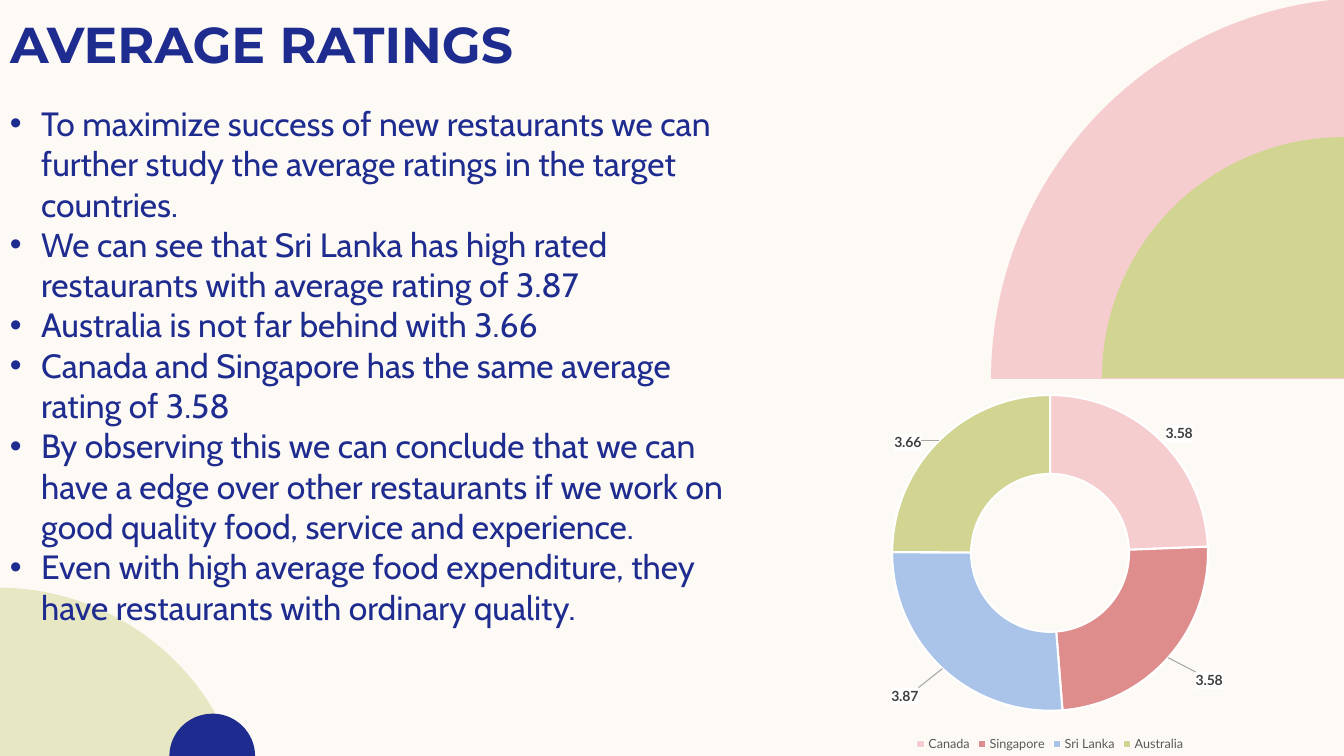
"""Build the average ratings slide with its doughnut chart."""
from lxml import etree
from pptx import Presentation
from pptx.chart.data import CategoryChartData
from pptx.dml.color import RGBColor
from pptx.enum.chart import XL_CHART_TYPE, XL_LEGEND_POSITION
from pptx.enum.text import MSO_ANCHOR, PP_ALIGN
from pptx.oxml import parse_xml
from pptx.oxml.ns import nsdecls, qn
from pptx.util import Inches, Pt

TITLE = "AVERAGE RATINGS"
BULLETS = [
    "To maximize success of new restaurants we can further study the average ratings in the target countries.",
    "We can see that Sri Lanka has high rated restaurants with average rating of 3.87",
    "Australia is not far behind with 3.66",
    "Canada and Singapore has the same average rating of 3.58",
    "By observing this we can conclude that we can have a edge over other restaurants if we work on "
    "good quality food, service and experience.",
    "Even with high average food expenditure, they have restaurants with ordinary quality.",
]
THEME = {
    "bg": "FDFAF6", "navy": "1F2C8F", "pink": "F5CDCE", "green": "D2D592", "red": "DE8C8C",
    "blue": "AAC3E8", "white": "FFFFFF", "label": "404040", "legend": "595959", "line": "A6A6A6",
    "head": ("Montserrat", 36), "body": ("Cabin", 24), "chart": ("Lato", 10), "small": ("Lato", 9),
}
RATINGS = [
    ("Canada", 3.58, "pink", (0.08, -0.09)),
    ("Singapore", 3.58, "red", (0.12, 0.13)),
    ("Sri Lanka", 3.87, "blue", (-0.11, 0.15)),
    ("Australia", 3.66, "green", (-0.1, -0.07)),
]
BACKDROP = [
    ("pink", 100, [(13.33, 0), (13.33, 3.76), (9.83, 3.76), (9.83, 1.81, 11.31, 0.2, 13.2, 0)]),
    ("green", 100, [(10.93, 3.75), (10.93, 2.43, 12, 1.36, 13.33, 1.36), (13.33, 3.75)]),
    ("green", 50, [(-0.02, 5.83), (1.01, 5.83, 1.9, 6.46, 2.27, 7.35), (2.33, 7.5), (-0.02, 7.5)]),
    ("navy", 100, [(2.11, 7.08), (2.34, 7.08, 2.53, 7.27, 2.53, 7.5), (1.68, 7.5),
                   (1.68, 7.27, 1.87, 7.08, 2.11, 7.08)]),
]


def rgb(name):
    return RGBColor.from_string(THEME[name])


def set_font(font, style, color, bold=False):
    font.name, size = THEME[style]
    font.size, font.bold = Pt(size), bold
    font.color.rgb = rgb(color)


def add_backdrop(s, color, opacity, steps):
    """Draw a closed outline; steps of six numbers are cubic curves."""
    pts = [(Inches(step[-2]), Inches(step[-1])) for step in steps]
    builder = s.shapes.build_freeform(*pts[0])
    builder.add_line_segments(pts[1:], close=True)
    sp = builder.convert_to_shape()
    for step, line in zip(steps[1:], list(sp._element.iter(qn("a:lnTo")))):
        if len(step) == 6:
            line.tag = qn("a:cubicBezTo")
            for i, (x, y) in enumerate((step[:2], step[2:4])):
                pt = etree.Element(qn("a:pt"), x=str(Inches(x) - sp.left), y=str(Inches(y) - sp.top))
                line.insert(i, pt)
    sp.shadow.inherit = False
    sp.fill.solid()
    sp.fill.fore_color.rgb = rgb(color)
    sp.line.fill.background()
    if opacity < 100:
        clr = sp._element.spPr.find(".//" + qn("a:srgbClr"))
        etree.SubElement(clr, qn("a:alpha"), val=str(opacity * 1000))


def frame(sp, anchor):
    tf = sp.text_frame
    tf.word_wrap, tf.vertical_anchor = True, anchor
    tf.margin_left = tf.margin_right = Inches(0.1)
    tf.margin_top = tf.margin_bottom = 0
    return tf


def add_bullets(s):
    tf = frame(s.shapes.add_textbox(0, Inches(1.02), Inches(7.5), Inches(5.6)), MSO_ANCHOR.TOP)
    for i, text in enumerate(BULLETS):
        p = tf.paragraphs[0] if i == 0 else tf.add_paragraph()
        p.text = text
        set_font(p.font, "body", "navy")
        pPr = p._p.get_or_add_pPr()
        pPr.set("marL", str(Inches(0.31)))
        pPr.set("indent", str(-Inches(0.31)))
        pPr.insert(0, parse_xml(f'<a:buFont {nsdecls("a")} typeface="Arial"/>'))
        pPr.insert(1, parse_xml(f'<a:buChar {nsdecls("a")} char="•"/>'))


def label_xml():
    font, size = THEME["chart"]
    look = (f'<c:numFmt formatCode="0.00" sourceLinked="0"/><c:spPr><a:solidFill>'
            f'<a:srgbClr val="{THEME["white"]}"/></a:solidFill></c:spPr><c:txPr><a:bodyPr/><a:p><a:pPr>'
            f'<a:defRPr sz="{size * 100}" b="1"><a:solidFill><a:srgbClr val="{THEME["label"]}"/></a:solidFill>'
            f'<a:latin typeface="{font}"/></a:defRPr></a:pPr><a:endParaRPr lang="en-US"/></a:p></c:txPr>'
            '<c:showLegendKey val="0"/><c:showVal val="1"/><c:showCatName val="0"/>'
            '<c:showSerName val="0"/><c:showPercent val="0"/><c:showBubbleSize val="0"/>')
    moved = "".join(f'<c:dLbl><c:idx val="{i}"/><c:layout><c:manualLayout><c:x val="{x}"/><c:y val="{y}"/>'
                    f'</c:manualLayout></c:layout>{look}</c:dLbl>' for i, (*_, (x, y)) in enumerate(RATINGS))
    return (f'<c:dLbls {nsdecls("c", "a")}>{moved}{look}<c:showLeaderLines val="1"/><c:leaderLines><c:spPr>'
            f'<a:ln w="9525"><a:solidFill><a:srgbClr val="{THEME["line"]}"/></a:solidFill></a:ln>'
            '</c:spPr></c:leaderLines></c:dLbls>')


def add_ratings_chart(s):
    data = CategoryChartData(number_format="0.00")
    data.categories = [r[0] for r in RATINGS]
    data.add_series("Series 1", [r[1] for r in RATINGS])
    chart = s.shapes.add_chart(XL_CHART_TYPE.DOUGHNUT, Inches(7.5), Inches(3.77),
                               Inches(5.83), Inches(3.73), data).chart
    set_font(chart.font, "chart", "label")
    chart.has_title = False
    chart.has_legend = True
    chart.legend.position = XL_LEGEND_POSITION.BOTTOM
    chart.legend.include_in_layout = False
    set_font(chart.legend.font, "small", "legend")
    plot = chart.plots[0]
    plot.vary_by_categories = True
    series = plot.series[0]
    for i, (_, _, color, _) in enumerate(RATINGS):
        fmt = series.points[i].format
        fmt.fill.solid()
        fmt.fill.fore_color.rgb = rgb(color)
        fmt.line.color.rgb = rgb("white")
        fmt.line.width = Pt(1.5)
    series._element.find(qn("c:cat")).addprevious(parse_xml(label_xml()))
    area = chart._chartSpace.find(".//" + qn("c:plotArea"))
    for old in area.findall(qn("c:layout")):
        area.remove(old)
    box = "".join(f'<c:{k} val="{v}"/>' for k, v in (("x", 0.23), ("y", 0.04), ("w", 0.54), ("h", 0.84)))
    area.insert(0, parse_xml(
        f'<c:layout {nsdecls("c")}><c:manualLayout><c:layoutTarget val="inner"/><c:xMode val="edge"/>'
        f'<c:yMode val="edge"/>{box}</c:manualLayout></c:layout>'))
    area.find(".//" + qn("c:holeSize")).set("val", "75")


def main():
    prs = Presentation()
    prs.slide_width, prs.slide_height = Inches(13.33), Inches(7.5)
    s = prs.slides.add_slide(prs.slide_layouts[5])
    s.background.fill.solid()
    s.background.fill.fore_color.rgb = rgb("bg")
    for shape in BACKDROP:
        add_backdrop(s, *shape)
    title = s.shapes.title
    title.left, title.top, title.width, title.height = 0, Inches(0.05), Inches(8.58), Inches(0.68)
    p = frame(title, MSO_ANCHOR.BOTTOM).paragraphs[0]
    p.text, p.alignment = TITLE, PP_ALIGN.LEFT
    set_font(p.font, "head", "navy", True)
    add_bullets(s)
    add_ratings_chart(s)
    prs.save("out.pptx")


if __name__ == "__main__":
    main()
